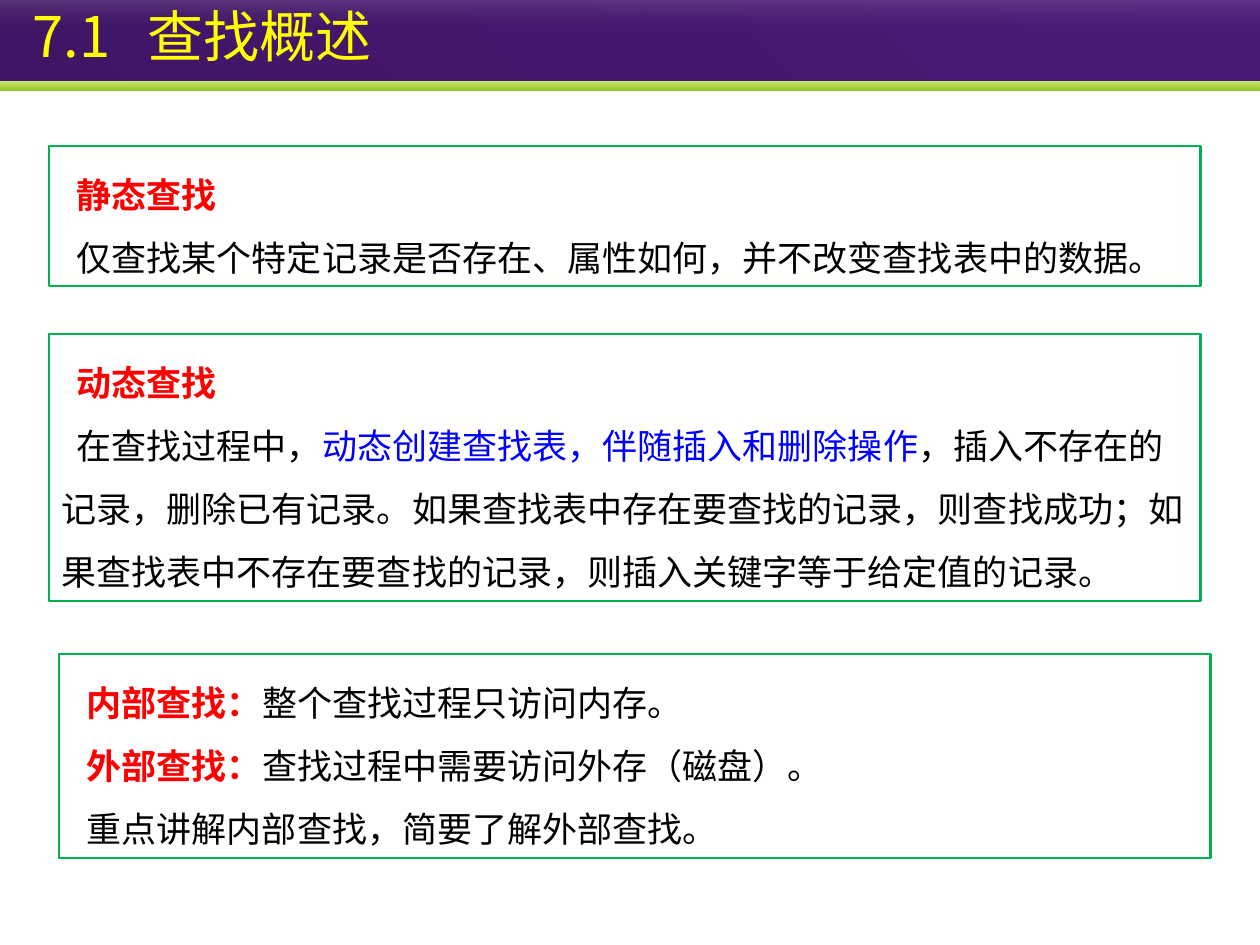
from pptx import Presentation
from pptx.dml.color import RGBColor
from pptx.enum.shapes import MSO_SHAPE
from pptx.enum.text import MSO_ANCHOR, MSO_AUTO_SIZE, PP_ALIGN
from pptx.oxml.ns import qn
from pptx.util import Inches, Pt
from lxml import etree

RECTANGLE = MSO_SHAPE.RECTANGLE
MIDDLE, TOP = MSO_ANCHOR.MIDDLE, MSO_ANCHOR.TOP
GROW, FIXED = MSO_AUTO_SIZE.SHAPE_TO_FIT_TEXT, MSO_AUTO_SIZE.NONE
LEFT = PP_ALIGN.LEFT
FONT = "Noto Sans CJK SC"
RED, BLUE, BLACK, GREEN, YELLOW = "FF0000", "0000FF", "000000", "00B050", "FFFF00"


def color(value):
    """Return the colour for a hex string."""
    return RGBColor.from_string(value)


def add_text(paragraph, text, size=20, fill=BLACK, bold=False):
    """Add a formatted run to a paragraph."""
    run = paragraph.add_run()
    run.text = text
    font = run.font
    font.name, font.size, font.bold = FONT, Pt(size), bold
    font.color.rgb = color(fill)
    east_asian = etree.SubElement(font._element, qn("a:ea"))
    east_asian.set("typeface", FONT)


def add_band(group, box, colors, angle, opacities=()):
    """Add a rectangle filled with a two-colour gradient."""
    shape = group.shapes.add_shape(RECTANGLE, *map(Inches, box))
    shape.shadow.inherit = False
    shape.line.fill.background()
    shape.fill.gradient()
    shape.fill.gradient_angle = angle
    for stop, value, position in zip(shape.fill.gradient_stops, colors, (0, 1)):
        stop.color.rgb = color(value)
        stop.position = position
    stop_colors = list(shape.element.iter(qn("a:srgbClr")))
    for stop_color, opacity in zip(stop_colors, opacities):
        alpha = etree.SubElement(stop_color, qn("a:alpha"))
        alpha.set("val", str(opacity * 1000))


def add_header(slide, left, top, width):
    """Draw the header bands across the given width."""
    group = slide.shapes.add_group_shape()
    add_band(group, (left, top, width, 0.64), ("401565", "4D1979"), 45)
    add_band(group, (left, top + 0.64, width, 0.08), ("C9E576", "97C523"), 270)
    add_band(group, (left, top, width, 0.2), ("FFFFFF", "B6B6B6"), 270, (13, 0))


def place_title(slide, box, number, name):
    """Put the section number and name in the title, above the header."""
    title = slide.shapes.title
    title.left, title.top, title.width, title.height = map(Inches, box)
    slide.shapes.element.append(title.element)
    frame = title.text_frame
    frame.auto_size, frame.vertical_anchor = FIXED, MIDDLE
    frame.margin_left = Inches(0.2)
    paragraph = frame.paragraphs[0]
    paragraph.alignment = LEFT
    properties = paragraph._p.get_or_add_pPr()
    tabs = etree.SubElement(properties, qn("a:tabLst"))
    tab = etree.SubElement(tabs, qn("a:tab"))
    tab.set("pos", str(Inches(0.91)))
    tab.set("algn", "l")
    add_text(paragraph, f"{number}\t{name}", size=32, fill=YELLOW)


def add_definition(slide, box, paragraphs):
    """Add a framed text box with indented paragraphs."""
    shape = slide.shapes.add_textbox(*map(Inches, box))
    shape.line.color.rgb = color(GREEN)
    shape.line.width = Pt(1.5)
    frame = shape.text_frame
    frame.word_wrap, frame.auto_size, frame.vertical_anchor = True, GROW, TOP
    for index, runs in enumerate(paragraphs):
        paragraph = frame.add_paragraph() if index else frame.paragraphs[0]
        paragraph.line_spacing = 1.5
        paragraph._p.get_or_add_pPr().set("indent", str(Inches(0.12)))
        for text, style in runs:
            add_text(paragraph, text, **style)


def main():
    """Build and save the slide."""
    presentation = Presentation()
    presentation.slide_width, presentation.slide_height = Inches(10), Inches(7.5)
    slide = presentation.slides.add_slide(presentation.slide_layouts[5])
    term, plain, key = {"fill": RED, "bold": True}, {}, {"fill": BLUE}
    add_header(slide, 0, 0, 10)
    place_title(slide, (0.06, -0.08, 9.9, 0.71), "7.1", "查找概述")
    add_definition(slide, (0.39, 1.16, 9.14, 1.11), [
        [("静态查找", term)],
        [("仅查找某个特定记录是否存在、属性如何，并不改变查找表中的数据。", plain)],
    ])
    add_definition(slide, (0.39, 2.65, 9.14, 2.12), [
        [("动态查找", term)],
        [("在查找过程中，", plain),
         ("动态创建查找表，伴随插入和删除操作", key),
         ("，插入不存在的记录，删除已有记录。如果查找表中存在要查找的记录，"
          "则查找成功；如果查找表中不存在要查找的记录，"
          "则插入关键字等于给定值的记录。", plain)],
    ])
    add_definition(slide, (0.47, 5.19, 9.14, 1.62), [
        [("内部查找：", term), ("整个查找过程只访问内存。", plain)],
        [("外部查找：", term), ("查找过程中需要访问外存（磁盘）。", plain)],
        [("重点讲解内部查找，简要了解外部查找。", plain)],
    ])
    presentation.save("out.pptx")


if __name__ == "__main__":
    main()
